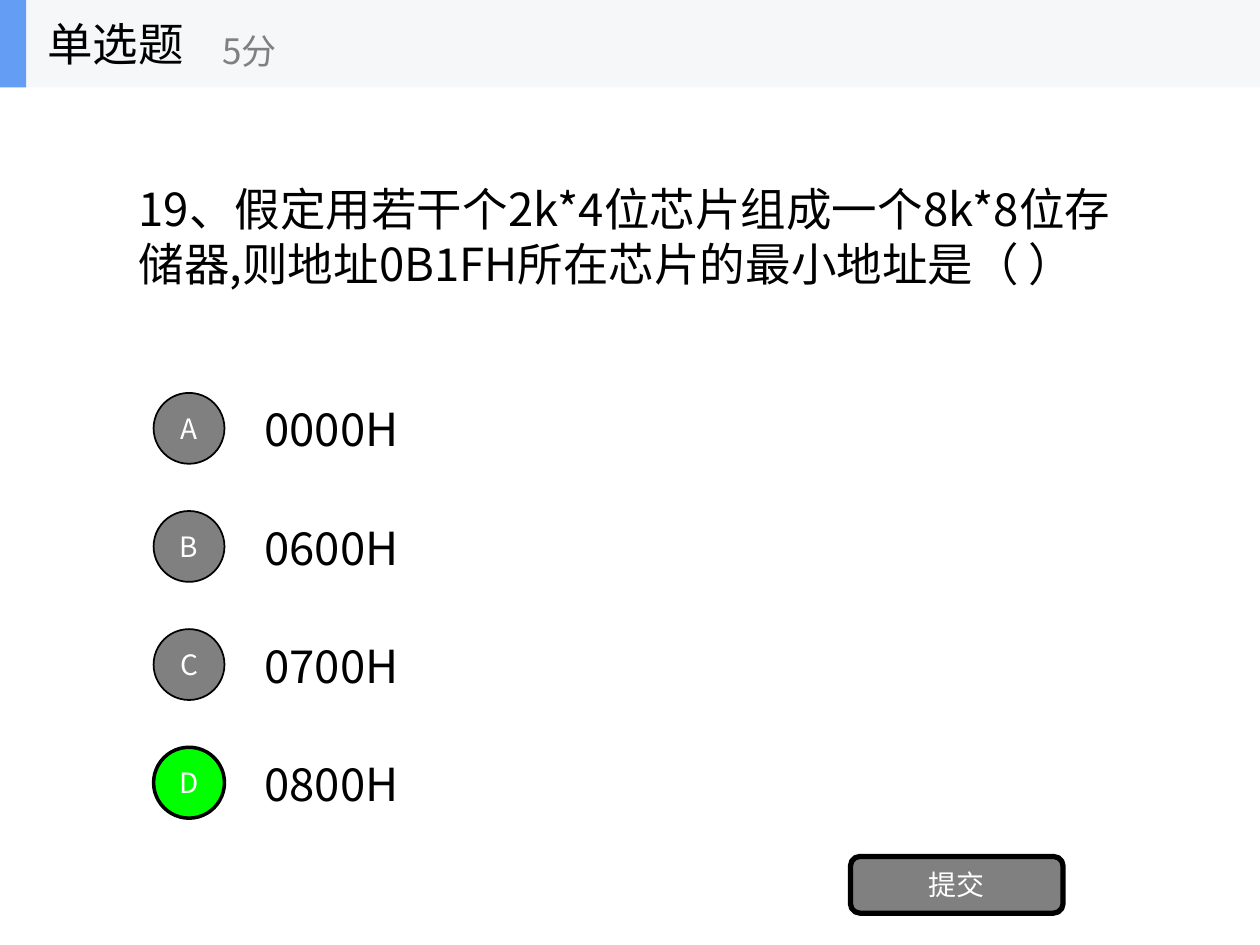
import pptx
import pptx.util
import pptx.dml.color
import pptx.enum.shapes
import pptx.enum.text
import pptx.oxml
import pptx.oxml.ns

Pt = pptx.util.Pt
RGB = pptx.dml.color.RGBColor
KIND = pptx.enum.shapes.MSO_SHAPE
ALIGN = pptx.enum.text.PP_ALIGN

FONT = "Noto Sans CJK SC"
BLACK = RGB(0, 0, 0)
WHITE = RGB(255, 255, 255)
GREY = RGB(0x80, 0x80, 0x80)
GREEN = RGB(0, 255, 0)
PALE = RGB(0xF6, 0xF7, 0xF8)
BLUE = RGB(0x63, 0x9E, 0xF4)


def write(shape, text, size, color, align=ALIGN.LEFT):
    frame = shape.text_frame
    frame.word_wrap = True
    frame.auto_size = pptx.enum.text.MSO_AUTO_SIZE.NONE
    frame.vertical_anchor = pptx.enum.text.MSO_ANCHOR.MIDDLE
    frame.text = text
    para = frame.paragraphs[0]
    para.alignment = align
    font = para.font
    font.size = Pt(size)
    font.name = FONT
    font.color.rgb = color
    # East Asian glyphs need their own typeface entry
    props = para._p.pPr.find(pptx.oxml.ns.qn("a:defRPr"))
    east = pptx.oxml.parse_xml(
        f'<a:ea {pptx.oxml.ns.nsdecls("a")} typeface="{FONT}"/>')
    props.append(east)


def draw(kind, box, fill, width=0):
    shape = slide.shapes.add_shape(kind, *map(Pt, box))
    shape.shadow.inherit = False
    shape.fill.solid()
    shape.fill.fore_color.rgb = fill
    if width:
        shape.line.color.rgb = BLACK
        shape.line.width = Pt(width)
    else:
        shape.line.fill.background()
    return shape


deck = pptx.Presentation()
deck.slide_width, deck.slide_height = Pt(720), Pt(540)
slide = deck.slides.add_slide(deck.slide_layouts[5])

# Question
title = slide.shapes.title
title.left, title.top = Pt(72), Pt(84.2)
title.width, title.height = Pt(575.3), Pt(100.8)
write(title, "19、假定用若干个2k*4位芯片组成一个8k*8位存储器,"
      "则地址0B1FH所在芯片的最小地址是（ ）", 26, BLACK)

# Answers, with the right one in green
answers = ["0000H", "0600H", "0700H", "0800H"]
right = "D"
for row, (mark, answer) in enumerate(zip("ABCD", answers)):
    top = 224.5 + 67.5 * row
    label = slide.shapes.add_textbox(Pt(144), Pt(top + 1), Pt(103), Pt(39))
    write(label, answer, 26, BLACK)
    fill, width = (GREEN, 2) if mark == right else (GREY, 1)
    dot = draw(KIND.OVAL, (87.75, top, 40.5, 40.5), fill, width)
    write(dot, mark, 16, WHITE, ALIGN.CENTER)

# Submit button
button = draw(KIND.ROUNDED_RECTANGLE, (486, 489.4, 121.5, 32.4), GREY, 3)
write(button, "提交", 16, WHITE, ALIGN.CENTER)

# Header band
draw(KIND.RECTANGLE, (0, 0, 720, 50), PALE)
draw(KIND.RECTANGLE, (0, 0, 15, 50), BLUE)
heads = [("单选题", (20, 0, 150, 50), 26, BLACK),
         ("5分", (120, 8.6, 180, 40), 20, GREY)]
for text, box, size, color in heads:
    head = slide.shapes.add_textbox(*map(Pt, box))
    write(head, text, size, color)

deck.save("out.pptx")
